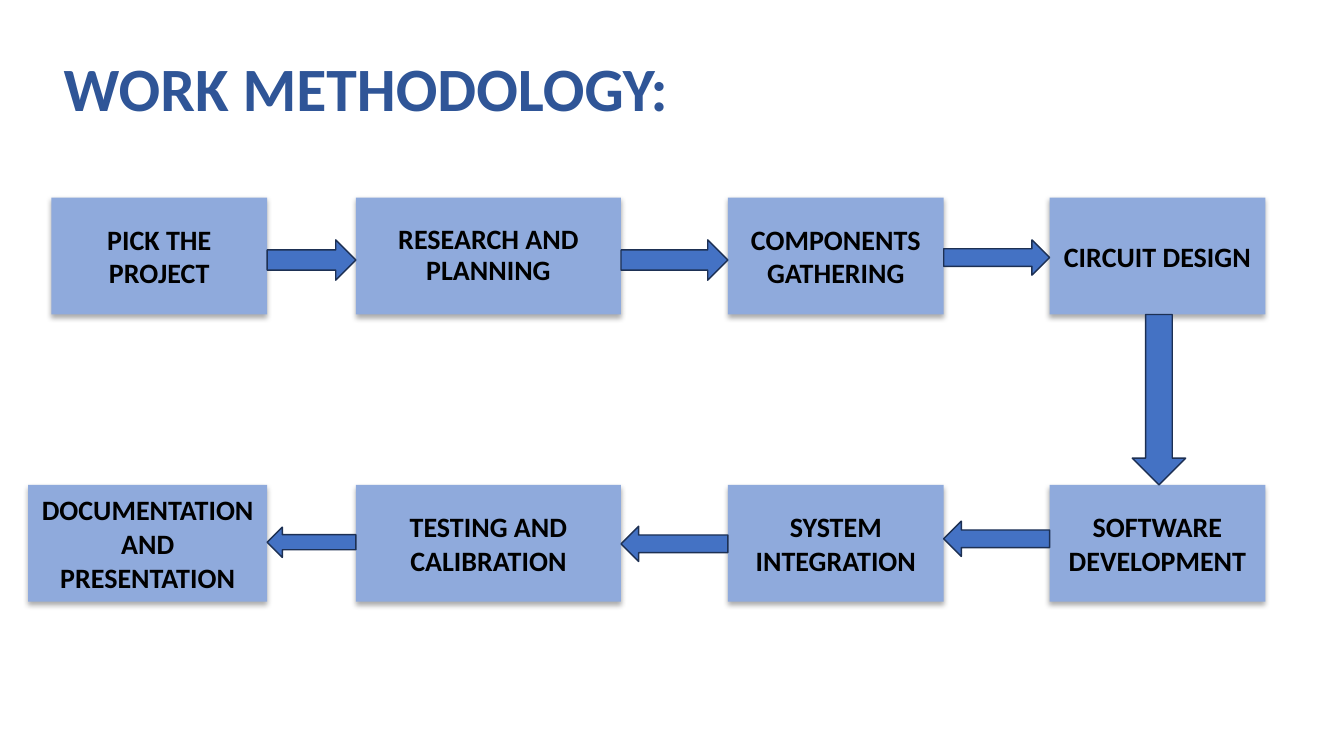
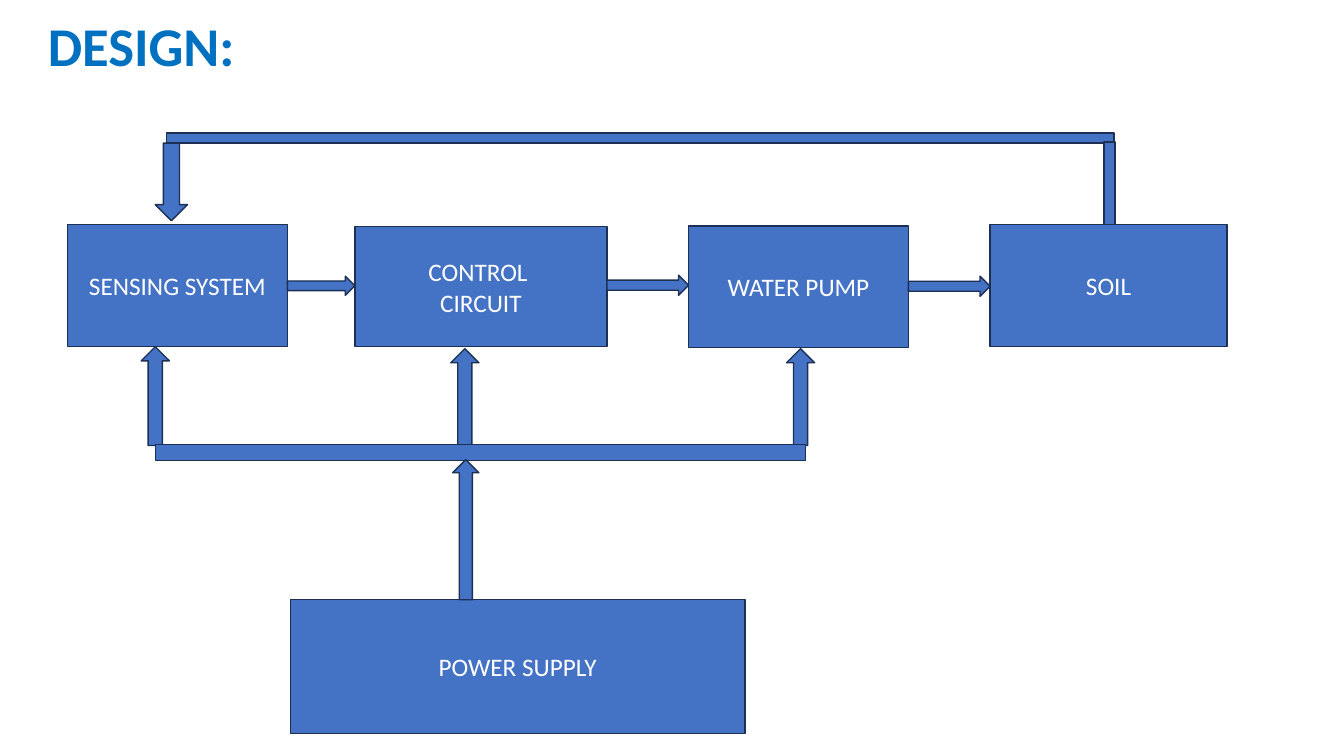
from itertools import pairwise

from lxml import etree
from pptx import Presentation
from pptx.dml import color
from pptx.enum import shapes, text
from pptx.oxml import ns
from pptx.util import Emu, Pt

PX = 9144
FONT = "Calibri"
BLUE, PALE_BLUE, OUTLINE = "4472C4", "8FAADC", "1D3053"
BLACK, WHITE = "000000", "FFFFFF"
KIND = shapes.MSO_SHAPE


def px(*lengths):
    return [Emu(length * PX) for length in lengths]


def rgb(value):
    return color.RGBColor.from_string(value)


def write(box, words, size, ink, inset, bold=False, spacing=None):
    frame = box.text_frame
    frame.word_wrap = True
    frame.margin_left = frame.margin_right = Emu(inset * PX)
    frame.margin_top = frame.margin_bottom = Emu(5 * PX)
    frame.vertical_anchor = text.MSO_ANCHOR.MIDDLE
    frame.text = words
    for para in frame.paragraphs:
        para.alignment = text.PP_ALIGN.CENTER
        para.line_spacing = spacing
        font = para.font
        font.name, font.size, font.bold = FONT, Pt(size), bold
        font.color.rgb = rgb(ink)


def add_title(page, words, place, size, ink):
    box = page.shapes.add_textbox(*px(*place))
    write(box, words, size, ink, 5, bold=True, spacing=0.9)
    box.text_frame.vertical_anchor = text.MSO_ANCHOR.BOTTOM


def add_solid(page, kind, place, fill=BLUE, line=OUTLINE):
    shape = page.shapes.add_shape(kind, *px(*place))
    shape.shadow.inherit = False
    shape.fill.solid()
    shape.fill.fore_color.rgb = rgb(fill)
    if line:
        shape.line.color.rgb = rgb(line)
        shape.line.width = Pt(1)
    else:
        shape.line.fill.background()
    return shape


def add_soft_shadow(shape):
    effects = shape._element.spPr.find(ns.qn("a:effectLst"))
    shadow = etree.SubElement(
        effects, ns.qn("a:outerShdw"), blurRad=str(Pt(4)),
        dist=str(Pt(2.2)), dir="5400000", algn="t", rotWithShape="0")
    tint = etree.SubElement(shadow, ns.qn("a:srgbClr"), val=BLACK)
    etree.SubElement(tint, ns.qn("a:alpha"), val="32000")


def add_step(page, words, place, spacing=None):
    box = add_solid(page, KIND.RECTANGLE, place, PALE_BLUE, None)
    add_soft_shadow(box)
    write(box, words, 20, BLACK, 10, bold=True, spacing=spacing)


def add_block(page, words, place):
    box = add_solid(page, KIND.RECTANGLE, place)
    write(box, words, 18, WHITE, 10)


def add_row_arrows(page, kind, places, spans):
    for (before, after), (top, height) in zip(pairwise(places), spans):
        left = before[0] + before[2]
        add_solid(page, kind, (left, top, after[0] - left, height))


def build_methodology(page):
    add_title(page, "WORK METHODOLOGY:", (28, 45, 670, 84), 44, "2F5597")
    shared = [(353, 263), (722, 214), (1041, 214)]
    rows = [
        (196, (51, 214), KIND.RIGHT_ARROW, [(238, 40), (238, 40), (238, 35)],
         [("PICK THE PROJECT", None), ("RESEARCH AND PLANNING", 0.9),
          ("COMPONENTS GATHERING", None), ("CIRCUIT DESIGN", None)]),
        (481, (28, 237), KIND.LEFT_ARROW, [(523, 30), (522, 35), (517, 35)],
         [("DOCUMENTATION AND PRESENTATION", None),
          ("TESTING AND CALIBRATION", None),
          ("SYSTEM INTEGRATION", None), ("SOFTWARE DEVELOPMENT", None)]),
    ]
    for top, first, kind, spans, steps in rows:
        places = [(left, top, width, 116) for left, width in [first, *shared]]
        for (words, spacing), place in zip(steps, places):
            add_step(page, words, place, spacing)
        add_row_arrows(page, kind, places, spans)
    add_solid(page, KIND.DOWN_ARROW, (1123, 312, 53, 169))


def build_design(page):
    add_title(page, "DESIGN:", (3, 13, 274, 70), 39, "0070C0")
    blocks = {
        "SENSING SYSTEM": (67, 223, 218, 121),
        "CONTROL \nCIRCUIT": (352, 225, 250, 119),
        "WATER PUMP": (683, 224, 218, 121),
        "SOIL": (982, 223, 235, 121),
    }
    for words, place in blocks.items():
        add_block(page, words, place)
    add_block(page, "POWER SUPPLY", (288, 595, 451, 133))
    add_row_arrows(page, KIND.RIGHT_ARROW, blocks.values(),
                   [(274, 19), (273, 20), (274, 20)])

    for left, top in [(140, 344), (447, 346), (780, 346)]:
        add_solid(page, KIND.UP_ARROW, (left, top, 28, 442 - top))
    power_rail = (154, 441, 645, 16)
    add_solid(page, KIND.RECTANGLE, power_rail)
    add_solid(page, KIND.UP_ARROW, (449, 456, 26, 139))

    add_solid(page, KIND.DOWN_ARROW, (154, 142, 32, 77))
    feedback_bar = (165, 132, 940, 10)
    feedback_riser = (1095, 141, 11, 82)
    for place in (feedback_bar, feedback_riser):
        add_solid(page, KIND.RECTANGLE, place)


def main():
    deck = Presentation()
    deck.slide_width, deck.slide_height = px(1333, 750)
    for build in (build_methodology, build_design):
        build(deck.slides.add_slide(deck.slide_layouts[6]))
    deck.save("out.pptx")


if __name__ == "__main__":
    main()
